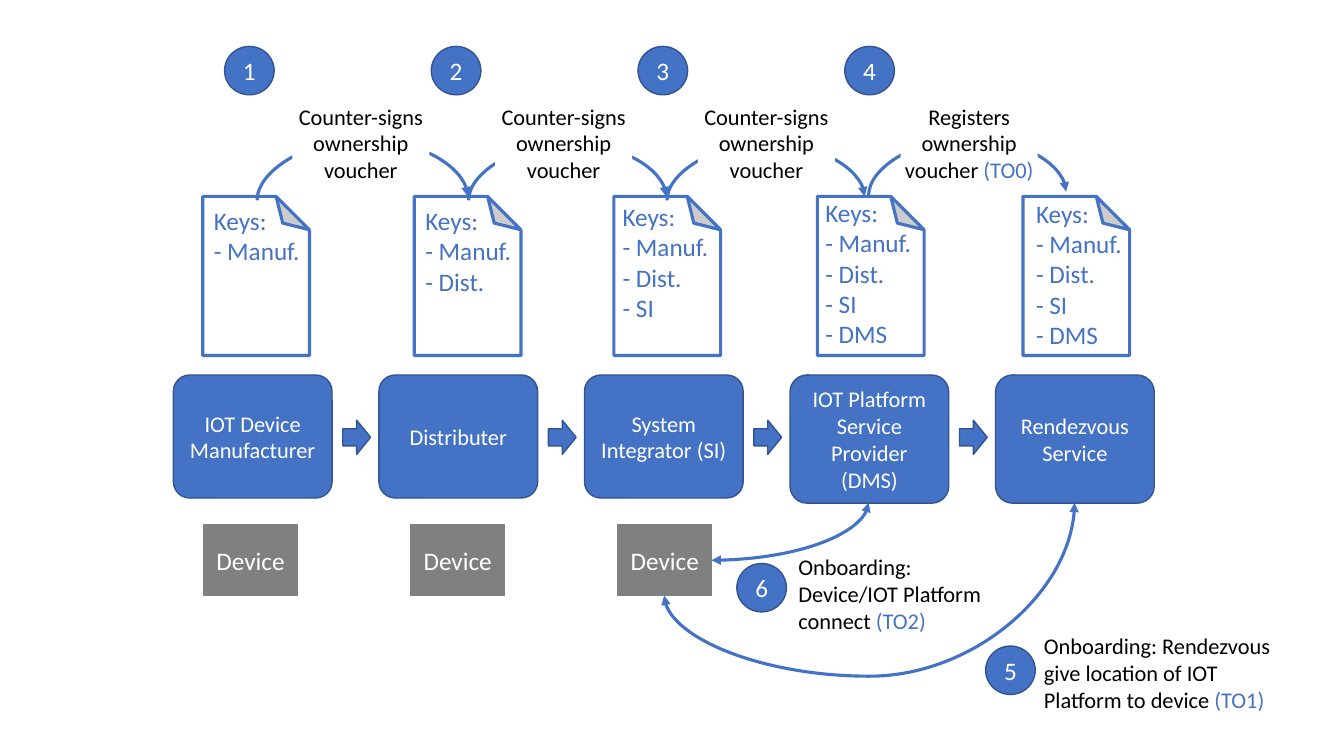
from lxml.etree import SubElement
from pptx import Presentation
from pptx.dml.color import RGBColor
from pptx.enum.shapes import MSO_CONNECTOR as Connector, MSO_SHAPE as Shape
from pptx.enum.text import MSO_ANCHOR as Anchor, PP_ALIGN as Align
from pptx.oxml.ns import qn
from pptx.util import Cm, Pt

BLUE = RGBColor(0x44, 0x72, 0xC4)
DARK_BLUE = RGBColor(0x32, 0x54, 0x91)
GRAY = RGBColor(0x80, 0x80, 0x80)
WHITE = RGBColor(0xFF, 0xFF, 0xFF)
BLACK = RGBColor(0, 0, 0)

PLAIN_FRAME = dict(word_wrap=True, vertical_anchor=Anchor.MIDDLE)
NOTE_FRAME = dict(word_wrap=True, vertical_anchor=Anchor.TOP, margin_left=0,
                  margin_top=0, margin_right=0, margin_bottom=0)
KEYS_FRAME = dict(word_wrap=False, vertical_anchor=Anchor.TOP)

STAGES = [
    (["IOT Device Manufacturer"], 3.1),
    (["Distributer"], 3.1),
    (["System Integrator (SI)"], 3.1),
    (["IOT Platform", "Service", "Provider", "(DMS)"], 3.23),
    (["Rendezvous Service"], 3.23),
]
KEYS = ["Keys:", "- Manuf.", "- Dist.", "- SI", "- DMS"]
VOUCHERS = [
    (5.11, 2, 0.03, 0.1),
    (10.44, 3, 0.03, 0.1),
    (15.47, 4, -0.03, 0),
    (20.6, 5, -0.05, -0.1),
    (25.78, 5, 0.08, -0.08),
]
ARCS = [
    (6.48, 11.79, 5.05, 3.51),
    (11.81, 16.79, 5.05, 3.61),
    (16.81, 21.79, 5.05, 3.61),
    (21.89, 26.87, 4.93, 3.48),
]
COUNTER_SIGNS = ["Counter-signs", "ownership voucher"]
CAPTIONS = [COUNTER_SIGNS] * 3 + [["Registers", ("ownership voucher ", "(TO0)")]]


def apply_format(target, values):
    """Set each named attribute of the target."""
    for name, value in values.items():
        setattr(target, name, value)


def write_text(shape, paragraphs, size, color, align, frame_format):
    """Fill a shape with paragraphs; a tuple ends in a blue run."""
    frame = shape.text_frame
    apply_format(frame, frame_format)
    for index, content in enumerate(paragraphs):
        paragraph = frame.add_paragraph() if index else frame.paragraphs[0]
        paragraph.alignment = align
        parts = content if isinstance(content, tuple) else (content,)
        for text, run_color in zip(parts, (color, BLUE)):
            run = paragraph.add_run()
            run.text = text
            apply_format(run.font, dict(name="Calibri", size=Pt(size)))
            run.font.color.rgb = run_color


def add_box(slide, kind, box, fill, line=None, weight=1):
    """Draw a filled preset shape in a box given in centimetres."""
    shape = slide.shapes.add_shape(kind, *map(Cm, box))
    shape.shadow.inherit = False
    shape.fill.solid()
    shape.fill.fore_color.rgb = fill
    if line is None:
        shape.line.fill.background()
    else:
        shape.line.color.rgb = line
        shape.line.width = Pt(weight)
    return shape


def reshape(properties, guide, value, **transform):
    """Set a geometry guide as a fraction, and the rotation or flips."""
    for name, setting in transform.items():
        properties.find(qn("a:xfrm")).set(name, setting)
    adjustments = properties.find(qn("a:prstGeom")).find(qn("a:avLst"))
    SubElement(adjustments, qn("a:gd"), name=guide, fmla=f"val {round(value * 100000)}")


def add_curve(slide, box, arrowheads):
    """Draw a blue curved connector with the given arrowheads."""
    connector = slide.shapes.add_connector(Connector.CURVE, *map(Cm, box))
    connector.line.color.rgb = BLUE
    connector.line.width = Pt(2.25)
    properties = connector._element.spPr
    for end in arrowheads:
        SubElement(properties.find(qn("a:ln")), qn(f"a:{end}"), type="triangle")
    SubElement(properties, qn("a:effectLst"))
    return properties


def add_arc(slide, begin, end, apex, arrowheads):
    """Draw a curve that leaves and arrives vertically, turning at the apex height."""
    (left, bottom), (right, top) = begin, end
    width, height = bottom - top, right - left
    x = (left + right - width) / 2
    y = (top + bottom - height) / 2
    properties = add_curve(slide, (x, y, x + width, y + height), arrowheads)
    reshape(properties, "adj1", (bottom - apex) / width, rot="5400000", flipH="1", flipV="1")


def add_badge(slide, left, top, number):
    """Draw a numbered step circle."""
    badge = add_box(slide, Shape.OVAL, (left, top, 1.25, 1.22), BLUE, DARK_BLUE)
    write_text(badge, [str(number)], 18, WHITE, Align.CENTER, PLAIN_FRAME)


def add_stages(slide, left, top, pitch):
    """Draw the row of parties with block arrows between them."""
    for index, (lines, height) in enumerate(STAGES):
        x = left + index * pitch
        stage = add_box(slide, Shape.ROUNDED_RECTANGLE, (x, top, 4, height), BLUE, DARK_BLUE)
        stage.adjustments[0] = 0.133
        write_text(stage, lines, 16, WHITE, Align.CENTER, PLAIN_FRAME)
        if index < len(STAGES) - 1:
            add_box(slide, Shape.RIGHT_ARROW, (x + 4.27, top + 1.14, 0.7, 0.86), BLUE, DARK_BLUE)


def add_vouchers(slide, top):
    """Draw the folded vouchers and the keys listed on each."""
    for left, key_count, shift_x, shift_y in VOUCHERS:
        voucher = add_box(slide, Shape.FOLDED_CORNER, (left, top, 2.69, 4.01), WHITE, BLUE, 2.25)
        reshape(voucher._element.spPr, "adj", 0.313, flipV="1")
        box = (left + shift_x, top + shift_y, 2.69, 4.01)
        label = slide.shapes.add_textbox(*map(Cm, box))
        write_text(label, KEYS[:key_count], 18, BLUE, Align.LEFT, KEYS_FRAME)


def add_devices(slide, left, top, pitch):
    """Draw the row of gray devices."""
    for index in range(3):
        box = (left + index * pitch, top, 2.37, 1.78)
        device = add_box(slide, Shape.RECTANGLE, box, GRAY, GRAY)
        write_text(device, ["Device"], 18, WHITE, Align.CENTER, PLAIN_FRAME)


def add_note(slide, box, lines, align):
    """Draw a white caption that covers the curve behind it."""
    note = add_box(slide, Shape.RECTANGLE, box, WHITE)
    write_text(note, lines, 16, BLACK, align, NOTE_FRAME)


def add_handovers(slide, left, top, pitch):
    """Draw the arcs between vouchers and the captions over them."""
    for begin_x, end_x, begin_y, apex in ARCS:
        add_arc(slide, (begin_x, begin_y), (end_x, begin_y - 0.1), apex, ["tailEnd"])
    for index, lines in enumerate(CAPTIONS):
        add_note(slide, (left + index * pitch, top, 3.45, 2.06), lines, Align.CENTER)


def add_onboarding(slide, left, top):
    """Draw the two onboarding curves, their notes and step numbers."""
    both_ends = ["headEnd", "tailEnd"]
    direct = add_curve(slide, (left + 1.19, top + 1.45, left + 5.15, top), both_ends)
    direct.find(qn("a:prstGeom")).set("prst", "curvedConnector2")
    add_arc(slide, (left, top + 2.34), (left + 10.34, top), top + 4.37, both_ends)
    add_note(slide, (left + 3.38, top + 1.27, 4.72, 2.06),
             [("Onboarding: Device/IOT Platform connect ", "(TO2)")], Align.LEFT)
    add_note(slide, (left + 9.57, top + 3.26, 5.99, 2.06),
             [("Onboarding: Rendezvous give location of IOT Platform to device ", "(TO1)")],
             Align.LEFT)
    add_badge(slide, left + 8.1, top + 3.61, 5)
    add_badge(slide, left + 1.83, top + 1.53, 6)


def main():
    """Build the ownership voucher slide."""
    presentation = Presentation()
    apply_format(presentation, dict(slide_width=Cm(33.87), slide_height=Cm(19.05)))
    slide = presentation.slides.add_slide(presentation.slide_layouts[6])
    for index in range(4):
        add_badge(slide, 5.66 + index * 5.21, 1.17, index + 1)
    add_stages(slide, 4.37, 9.45, 5.18)
    add_vouchers(slide, 4.95)
    add_devices(slide, 5.13, 13.23, 5.22)
    add_handovers(slide, 7.37, 2.59, 5.11)
    add_onboarding(slide, 16.74, 12.67)
    presentation.save("out.pptx")


if __name__ == "__main__":
    main()
